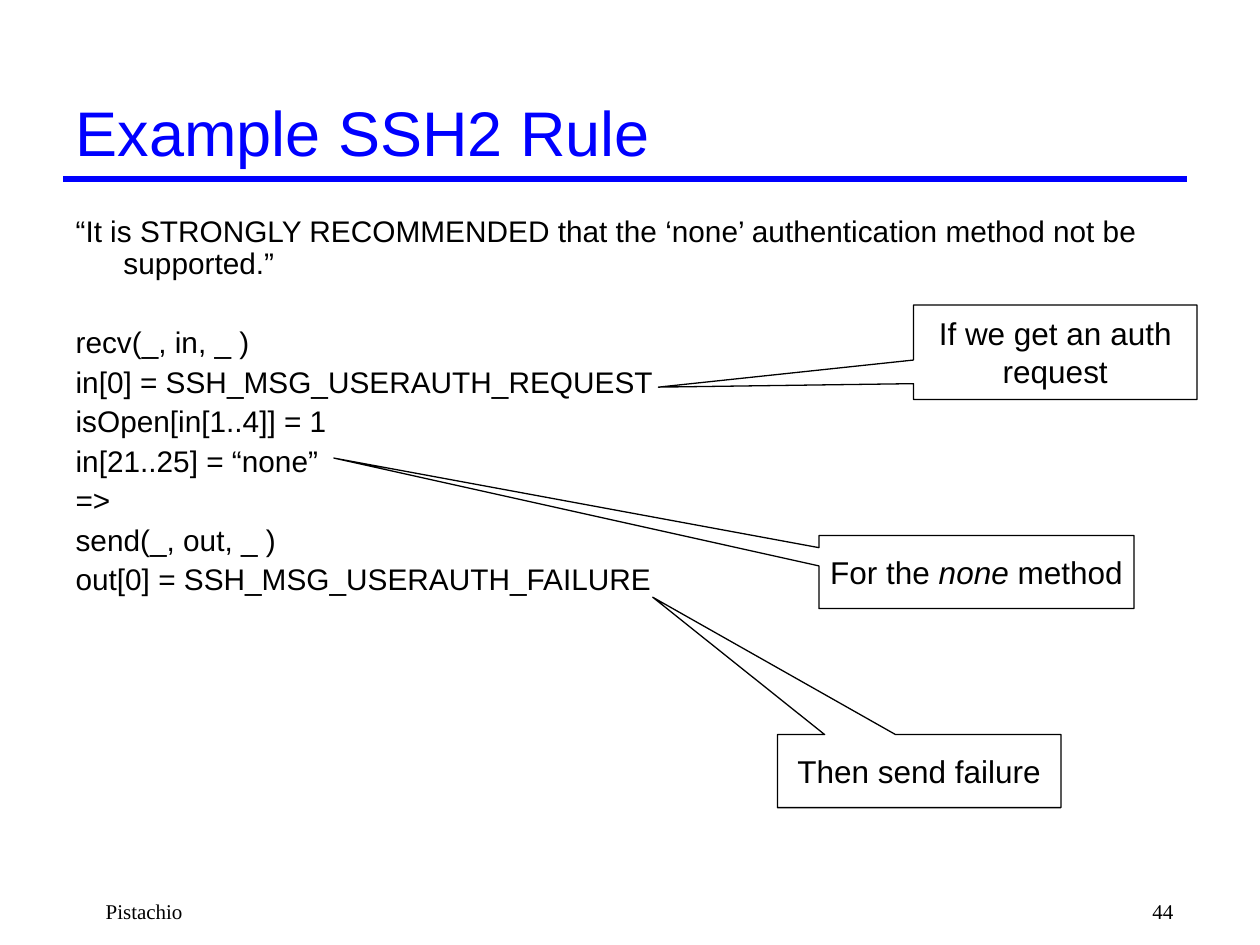
from lxml import etree
from pptx import Presentation
from pptx import util as u
from pptx.dml import color
from pptx.enum import shapes, text
from pptx.oxml import ns

BLUE, BLACK = "0000FF", "000000"
RULE = [
    "“It is STRONGLY RECOMMENDED that the ‘none’ authentication method not be supported.”",
    "recv(_, in, _ )",
    "in[0] = SSH_MSG_USERAUTH_REQUEST",
    "isOpen[in[1..4]] = 1",
    "in[21..25] = “none”",
    "=>",
    "send(_, out, _ )",
    "out[0] = SSH_MSG_USERAUTH_FAILURE",
]
NOTES = [
    ((7.25, 2.42, 2.25, 0.75), (-1.4, 0.37), [["If we get an auth"], ["request"]]),
    ((6.5, 4.25, 2.5, 0.58), (-2.04, -1.56), [["For the ", "none", " method"]]),
    ((6.17, 5.83, 2.25, 0.58), (-0.94, -2.38), [["Then send failure"]]),
]


def paint(part, tone):
    part.rgb = color.RGBColor.from_string(tone)


def style(font, size, tone=BLACK, name="Arial"):
    font.size, font.name = u.Pt(size), name
    paint(font.color, tone)


def place(shape, box):
    shape.left, shape.top, shape.width, shape.height = map(u.Inches, box)


def add_title(slide, box):
    title = slide.shapes.title
    place(title, box)
    frame = title.text_frame
    frame.text = "Example SSH2 Rule"
    frame.auto_size = text.MSO_AUTO_SIZE.NONE
    frame.vertical_anchor = text.MSO_ANCHOR.MIDDLE
    para = frame.paragraphs[0]
    para.alignment = text.PP_ALIGN.LEFT
    style(para.runs[0].font, 36, BLUE)

    left, top, wide, high = box
    ends = (left, top + high, left + wide, top + high)
    line = slide.shapes.add_connector(shapes.MSO_CONNECTOR.STRAIGHT, *map(u.Inches, ends))
    line.line.width = u.Pt(3)
    paint(line.line.color, BLUE)
    etree.SubElement(line._element.spPr, ns.qn("a:effectLst"))


def add_body(slide, box):
    body = slide.placeholders[1]
    place(body, box)
    frame = body.text_frame
    frame.text = "\n".join(RULE)
    frame.auto_size = text.MSO_AUTO_SIZE.NONE
    for row, para in enumerate(frame.paragraphs):
        props = para._p.get_or_add_pPr()
        props.set("marL", str(u.Inches(0.38)))
        props.set("indent", str(u.Inches(-0.38)))
        etree.SubElement(props, ns.qn("a:buNone"))
        para.line_spacing = 0.9
        para.space_before = u.Pt({0: 0, 1: 26.8}.get(row, 4.2))
        style(para.runs[0].font, 17)


def add_note(slide, box, tip, lines):
    note = slide.shapes.add_shape(
        shapes.MSO_SHAPE.RECTANGULAR_CALLOUT, *map(u.Inches, box))
    note.adjustments[0], note.adjustments[1] = tip
    note.shadow.inherit = False
    note.fill.background()
    note.line.width = u.Pt(0.75)
    paint(note.line.color, BLACK)
    frame = note.text_frame
    frame.word_wrap = False
    frame.vertical_anchor = text.MSO_ANCHOR.MIDDLE
    frame.text = "\n" * (len(lines) - 1)
    for para, words in zip(frame.paragraphs, lines):
        para.alignment = text.PP_ALIGN.CENTER
        for word in words:
            run = para.add_run()
            run.text = word
            style(run.font, 18)
            run.font.italic = word == "none"


def add_foot(slide, box, words, align):
    foot = slide.shapes.add_textbox(*map(u.Inches, box))
    frame = foot.text_frame
    frame.word_wrap = True
    frame.text = words
    para = frame.paragraphs[0]
    para._p.get_or_add_pPr().set("marL", str(u.Inches(0.24)))
    para.alignment = align
    style(para.runs[0].font, 12, name="Times New Roman")


def main():
    deck = Presentation()
    deck.slide_width, deck.slide_height = u.Inches(10), u.Inches(7.5)
    slide = deck.slides.add_slide(deck.slide_layouts[1])
    add_title(slide, (0.5, 0.67, 8.92, 0.75))
    add_body(slide, (0.5, 1.67, 8.92, 5.33))
    for note in NOTES:
        add_note(slide, *note)
    add_foot(slide, (0.5, 7.08, 6.08, 0.25), "Pistachio", text.PP_ALIGN.LEFT)
    add_foot(slide, (7.33, 7.08, 2.08, 0.25), "44", text.PP_ALIGN.RIGHT)
    deck.save("out.pptx")


if __name__ == "__main__":
    main()
